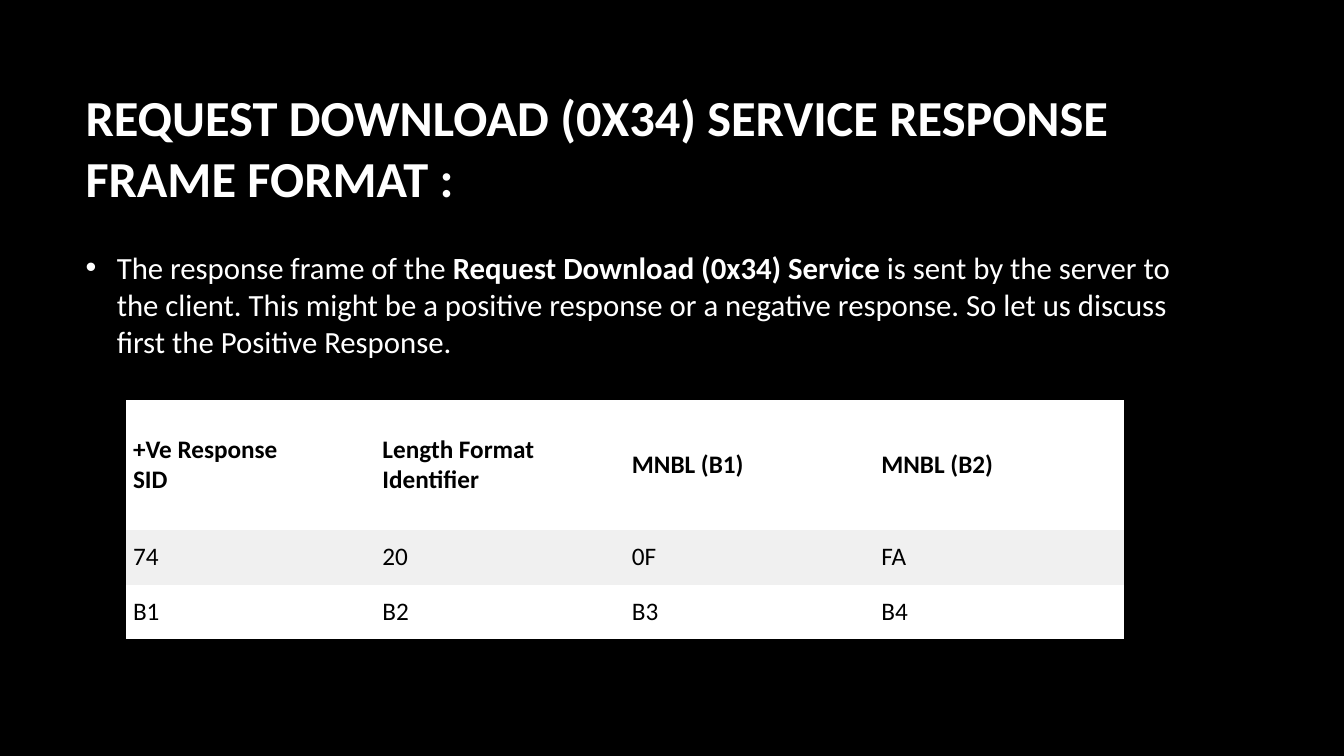
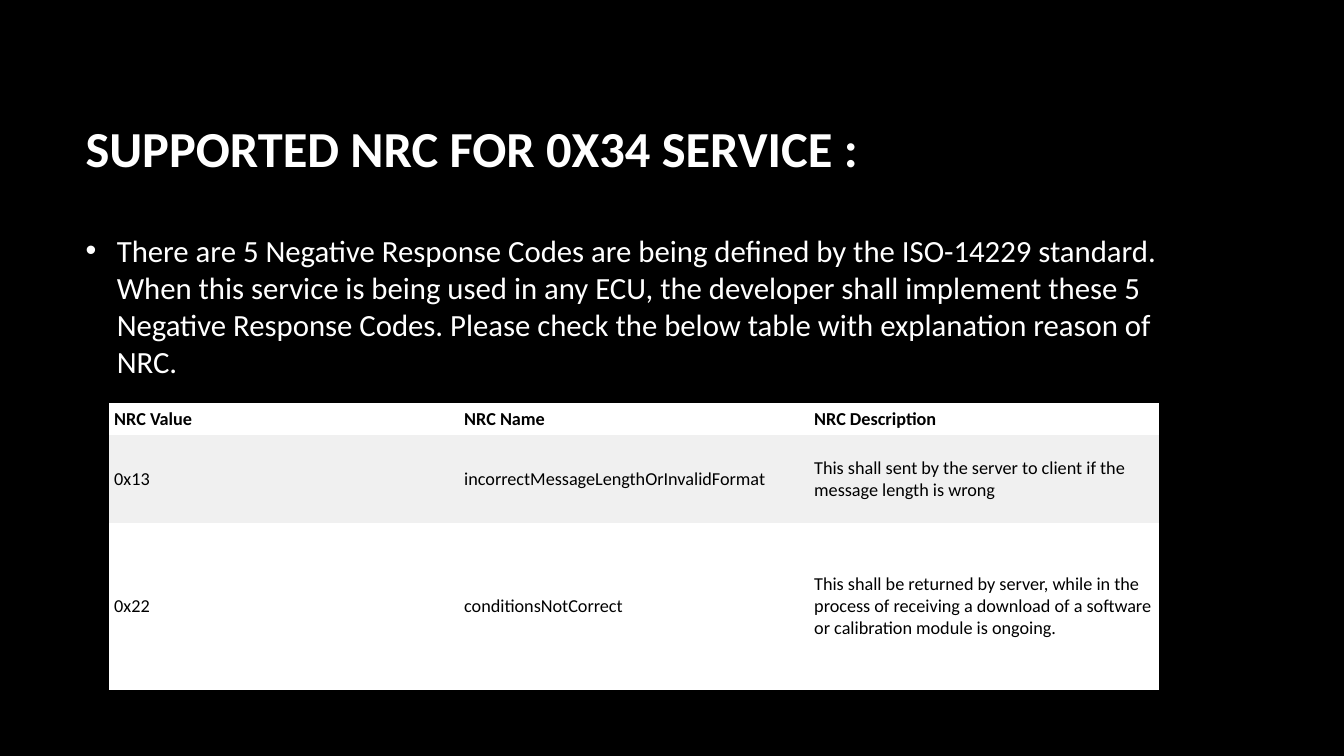
from dataclasses import dataclass

from lxml.etree import SubElement
from pptx import Presentation
from pptx.dml.color import RGBColor
from pptx.enum.text import MSO_ANCHOR
from pptx.oxml.ns import qn
from pptx.util import Inches, Pt


@dataclass(frozen=True)
class Theme:
    font: str = "Calibri"
    backdrop: RGBColor = RGBColor(0, 0, 0)
    light: RGBColor = RGBColor(255, 255, 255)
    dark: RGBColor = RGBColor(0, 0, 0)
    stripe: RGBColor = RGBColor(240, 240, 240)
    title_size: int = 36
    body_size: int = 22


theme = Theme()
deck = Presentation()
deck.slide_width, deck.slide_height = Inches(13.33), Inches(7.5)
column, row = deck.slide_width / 160, deck.slide_height / 90
margin, text_width = 9, 133
no_grid_style = "{2D5ABB26-0587-4C30-8999-92F81FD0307C}"


def add_run(paragraph, text, size, color, bold=False):
    run = paragraph.add_run()
    run.text = text
    run.font.name, run.font.size, run.font.bold = theme.font, Pt(size), bold
    run.font.color.rgb = color


def add_text(slide, top, height, anchor):
    frame = slide.shapes.add_textbox(
        int(margin * column), int(top * row), int(text_width * column), int(height * row)
    ).text_frame
    frame.word_wrap = True
    frame.vertical_anchor = anchor
    return frame.paragraphs[0]


pages = [
    {
        "title": "REQUEST DOWNLOAD (0X34) SERVICE RESPONSE FRAME FORMAT :",
        "body_top": 29,
        "body": [
            ("The response frame of the ", False),
            ("Request Download (0x34) Service", True),
            (" is sent by the server to the client. This might be a positive response or a "
             "negative response. So let us discuss first the Positive Response.", False),
        ],
        "table_left": 15, "table_top": 47.6, "column_width": 29.7,
        "row_heights": [15.5, 6.5, 6.5], "cell_size": 18, "inset": 0.07,
        "cells": [
            ["+Ve Response\nSID", "Length Format\nIdentifier", "MNBL (B1)", "MNBL (B2)"],
            ["74", "20", "0F", "FA"],
            ["B1", "B2", "B3", "B4"],
        ],
    },
    {
        "title": "SUPPORTED NRC FOR 0X34 SERVICE :",
        "body_top": 27,
        "body": [
            ("There are 5 Negative Response Codes are being defined by the ISO-14229 standard. "
             "When this service is being used in any ECU, the developer shall implement these 5 "
             "Negative Response Codes. Please check the below table with explanation reason of "
             "NRC.", False),
        ],
        "table_left": 13, "table_top": 48, "column_width": 41.67,
        "row_heights": [3.8, 10.5, 19.8], "cell_size": 13, "inset": 0.05,
        "cells": [
            ["NRC Value", "NRC Name", "NRC Description"],
            ["0x13", "incorrectMessageLengthOrInvalidFormat",
             "This shall sent by the server to client if the message length is wrong"],
            ["0x22", "conditionsNotCorrect",
             "This shall be returned by server, while in the process of receiving a download "
             "of a software or calibration module is ongoing."],
        ],
    },
]

for page in pages:
    slide = deck.slides.add_slide(deck.slide_layouts[6])
    slide.background.fill.solid()
    slide.background.fill.fore_color.rgb = theme.backdrop

    title = add_text(slide, 8, 19, MSO_ANCHOR.MIDDLE)
    add_run(title, page["title"], theme.title_size, theme.light, True)

    body = add_text(slide, page["body_top"], 18, MSO_ANCHOR.TOP)
    body.space_after = Pt(10)
    for text, bold in page["body"]:
        add_run(body, text, theme.body_size, theme.light, bold)
    bullet = body._p.get_or_add_pPr()
    bullet.set("marL", str(Inches(0.31)))
    bullet.set("indent", str(-Inches(0.31)))
    SubElement(bullet, qn("a:buFont")).set("typeface", "Arial")
    SubElement(bullet, qn("a:buChar")).set("char", "•")

    cells, heights = page["cells"], page["row_heights"]
    holder = slide.shapes.add_table(
        len(cells), len(cells[0]),
        int(page["table_left"] * column), int(page["table_top"] * row),
        int(page["column_width"] * len(cells[0]) * column), int(sum(heights) * row),
    )
    for style in holder.element.iter(qn("a:tableStyleId")):
        style.text = no_grid_style
    grid = holder.table
    grid.horz_banding = False

    for r, (labels, height) in enumerate(zip(cells, heights)):
        grid.rows[r].height = int(height * row)
        for c, label in enumerate(labels):
            cell = grid.cell(r, c)
            cell.fill.solid()
            cell.fill.fore_color.rgb = theme.stripe if r % 2 else theme.light
            cell.vertical_anchor = MSO_ANCHOR.MIDDLE
            cell.margin_left = cell.margin_right = Inches(page["inset"])
            cell.margin_top = cell.margin_bottom = Inches(page["inset"])
            paragraph = cell.text_frame.paragraphs[0]
            for n, line in enumerate(label.split("\n")):
                if n:
                    paragraph.add_line_break()
                add_run(paragraph, line, page["cell_size"], theme.dark, r == 0)

deck.save("out.pptx")
